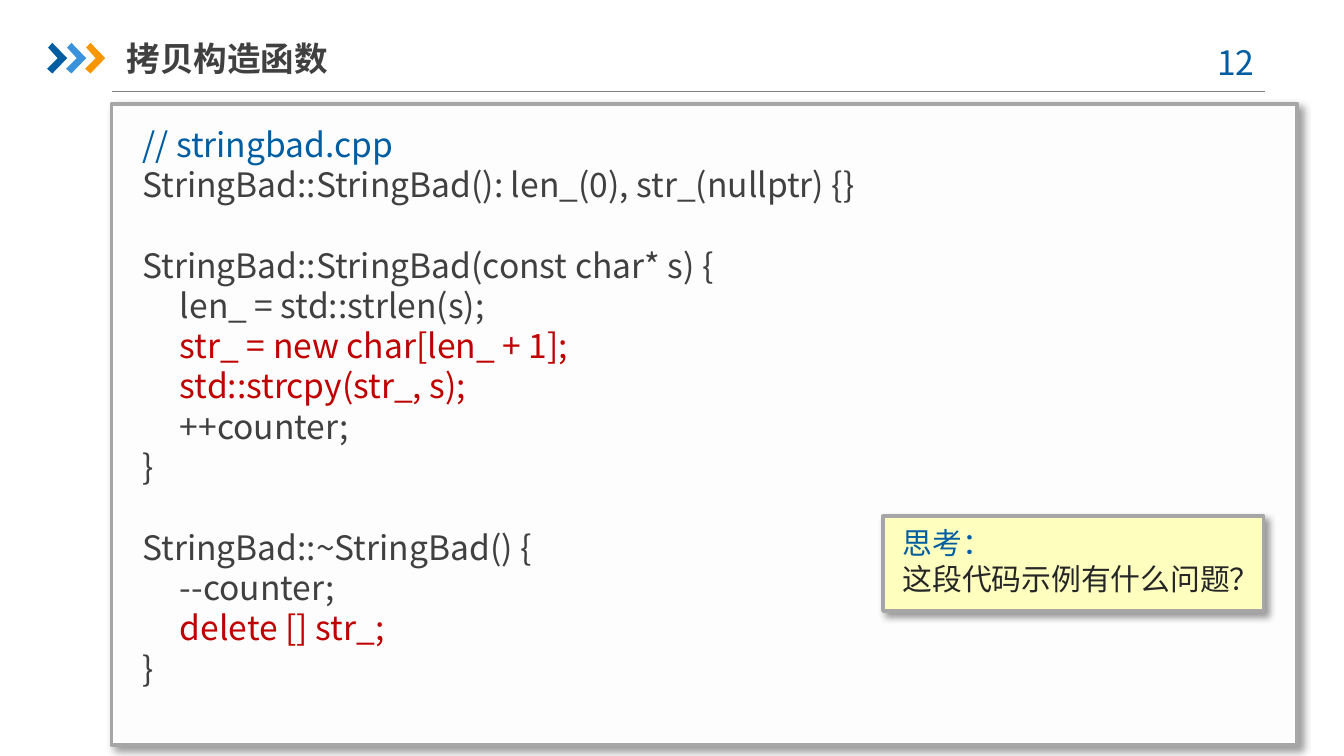
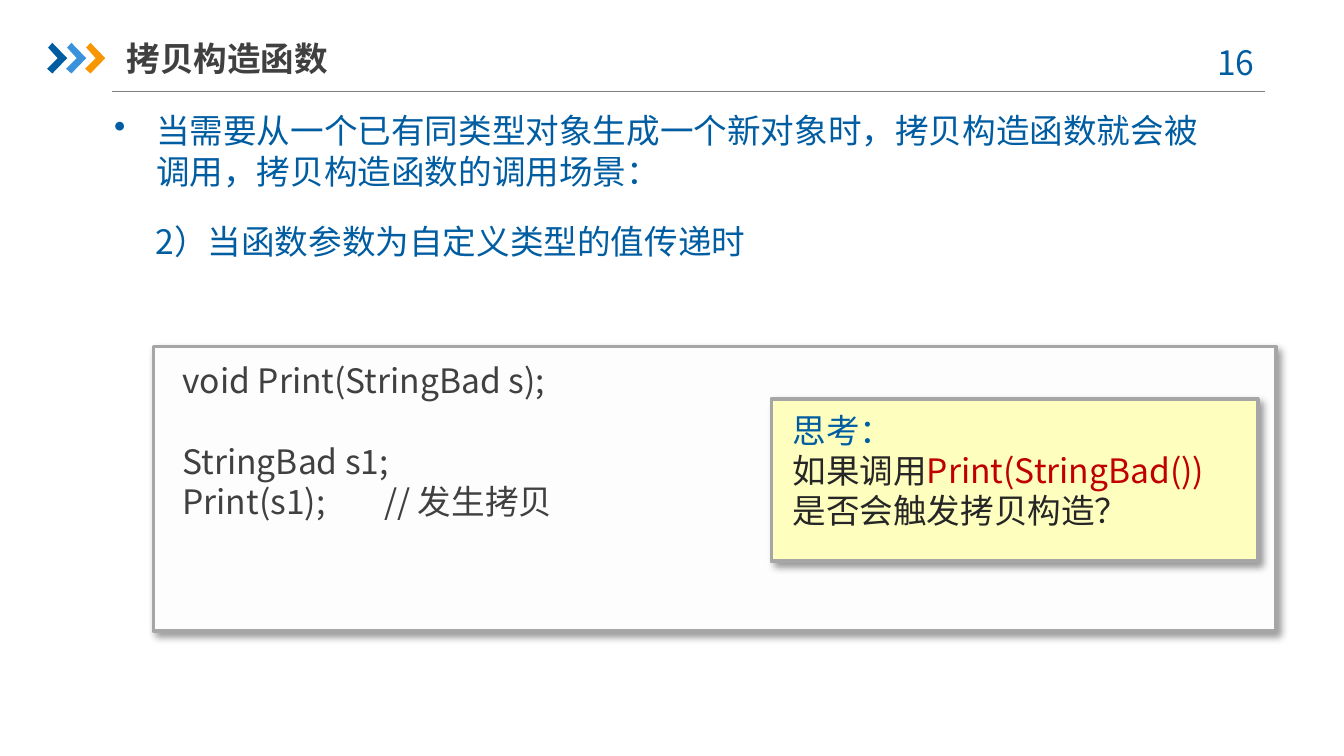
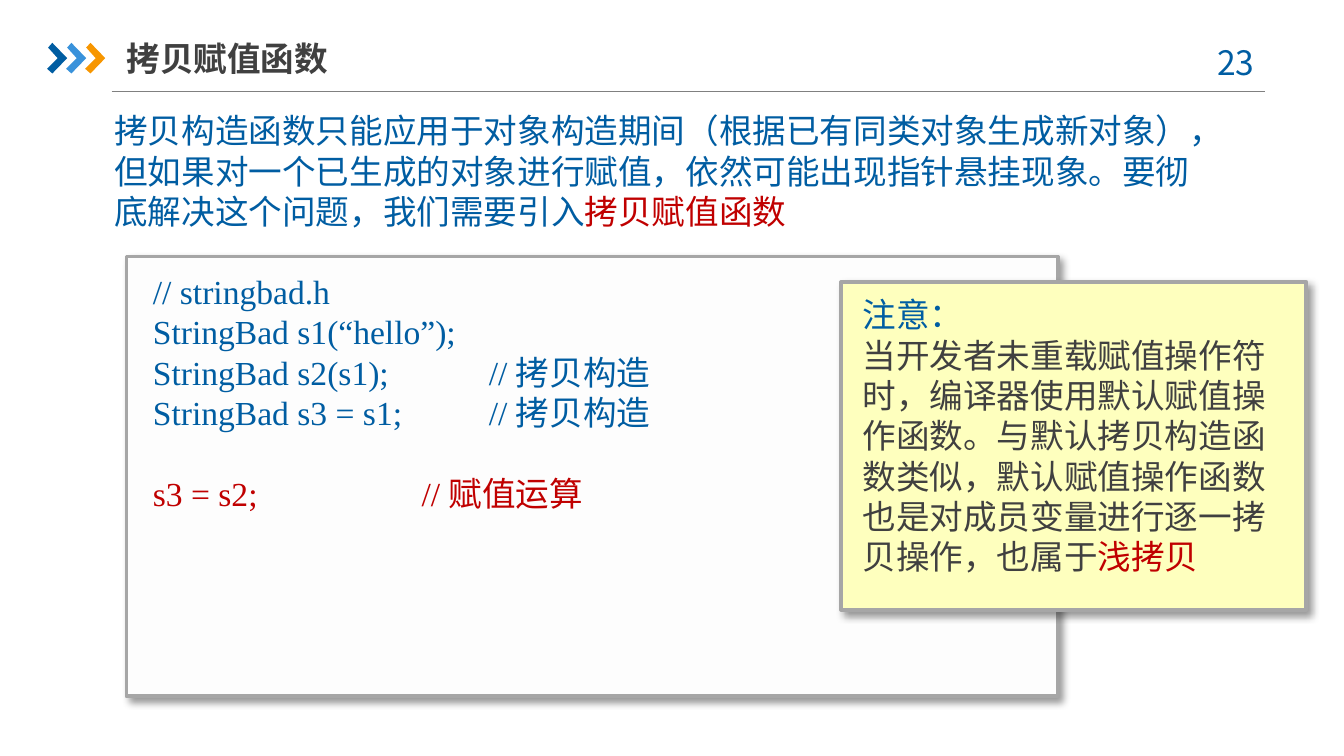
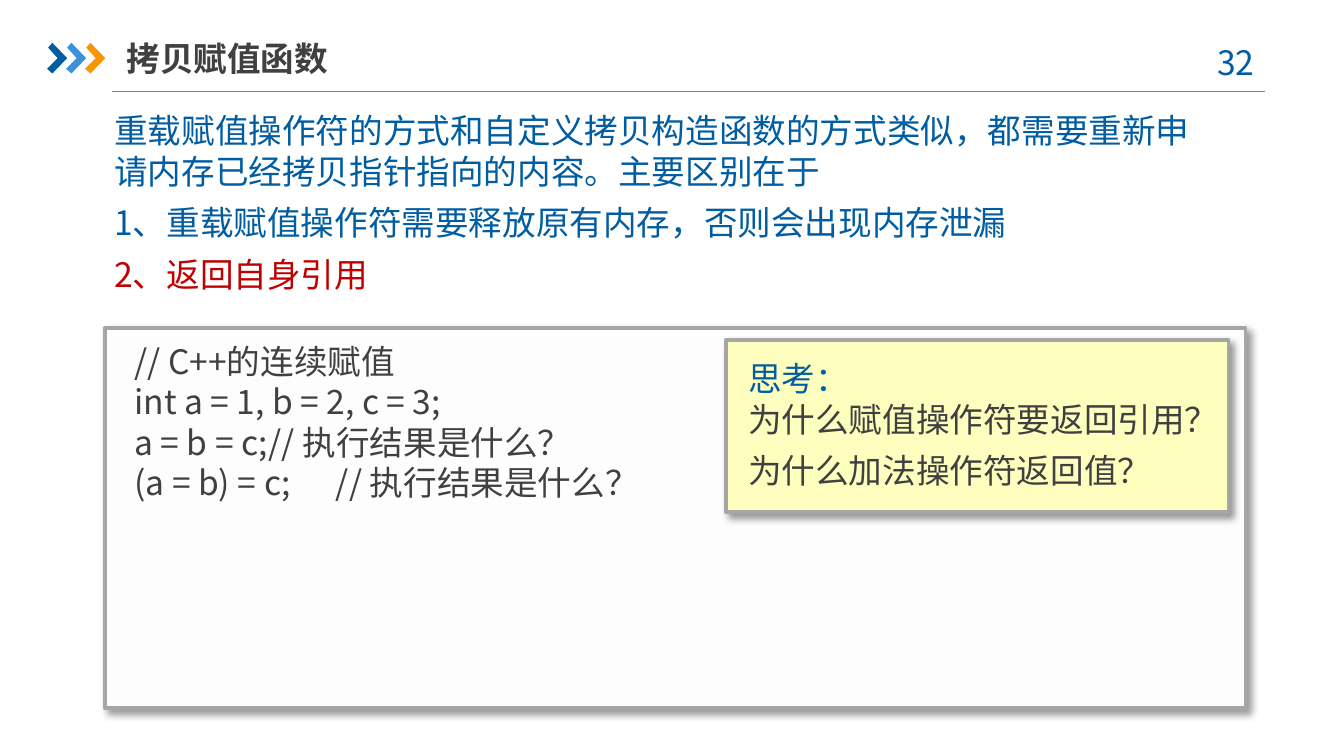
from dataclasses import dataclass

from lxml import etree
from pptx import Presentation
from pptx.dml.color import RGBColor
from pptx.enum.lang import MSO_LANGUAGE_ID
from pptx.enum.shapes import MSO_CONNECTOR, MSO_SHAPE
from pptx.enum.text import MSO_ANCHOR, MSO_AUTO_SIZE, PP_ALIGN
from pptx.oxml import parse_xml
from pptx.oxml.ns import nsdecls, qn
from pptx.util import Cm, Pt

RECTANGLE = MSO_SHAPE.RECTANGLE
STRAIGHT = MSO_CONNECTOR.STRAIGHT
LEFT, CENTER = PP_ALIGN.LEFT, PP_ALIGN.CENTER
TOP, MIDDLE = MSO_ANCHOR.TOP, MSO_ANCHOR.MIDDLE
GROW, FIXED = MSO_AUTO_SIZE.SHAPE_TO_FIT_TEXT, MSO_AUTO_SIZE.NONE
CHINESE = MSO_LANGUAGE_ID.SIMPLIFIED_CHINESE
TITLE_ONLY = 5


@dataclass(frozen=True)
class Theme:
    blue: str = "005DA2"
    sky: str = "3992DB"
    orange: str = "F79600"
    red: str = "C00000"
    dark: str = "404040"
    ink: str = "262626"
    rule: str = "808080"
    border: str = "A6A6A6"
    code_fill: str = "FDFDFD"
    note_fill: str = "FEFFBE"
    font: str = "Noto Sans CJK SC"
    serif: str = "Times New Roman"
    size: int = 18
    small: int = 16
    leading: float = 1.2
    after: int = 6


THEME = Theme()
CHEVRON = [(0.02, 0.09), (0.1, 0), (0.38, 0.29), (0.1, 0.58), (0, 0.49), (0.2, 0.29)]
CHEVRON_LEFT, CHEVRON_TOP, CHEVRON_STEP = 0.89, 0.81, 0.36


def rgb(colour):
    return RGBColor.from_string(colour)


def lengths(frame):
    return [Cm(value) for value in frame]


def set_values(target, values):
    for name, value in values.items():
        setattr(target, name, value)


def add_span(para, text, colour, size, font, bold):
    span = para.add_run()
    span.text = text.rstrip("\n")
    set_values(span.font, {
        "size": Pt(size), "bold": bold, "name": font, "language_id": CHINESE,
    })
    span.font.color.rgb = rgb(colour)
    east_asian = etree.SubElement(span._r.get_or_add_rPr(), qn("a:ea"))
    east_asian.set("typeface", THEME.font)
    if text.endswith("\n"):
        para.add_line_break()


def add_bullet(para):
    properties = para._p.get_or_add_pPr()
    properties.set("marL", str(Cm(0.79)))
    properties.set("indent", str(-Cm(0.79)))
    etree.SubElement(properties, qn("a:buChar")).set("char", "•")


def write(box, paragraphs, size=THEME.size, font=THEME.font, bold=False,
          after=0, align=LEFT, anchor=TOP, fit=GROW, bullet=False):
    frame = box.text_frame
    set_values(frame, {"word_wrap": True, "auto_size": fit, "vertical_anchor": anchor})
    leading = Pt(size * THEME.leading)
    para, gap = None, 0
    for spans in paragraphs:
        if not spans:
            gap += leading
            continue
        para = frame.add_paragraph() if para else frame.paragraphs[0]
        if bullet:
            add_bullet(para)
        set_values(para, {
            "alignment": align, "line_spacing": leading,
            "space_before": gap, "space_after": Pt(after),
        })
        for text, colour in spans:
            add_span(para, text, colour, size, font, bold)
        gap = 0


def code(colour, *lines):
    return [[(line, colour)] if line else [] for line in lines]


def add_text(slide, frame, paragraphs, **style):
    box = slide.shapes.add_textbox(*lengths(frame))
    write(box, paragraphs, **style)


def add_shadow(shape):
    shape._element.spPr.append(parse_xml(
        f'<a:effectLst {nsdecls("a")}><a:outerShdw blurRad="{Pt(4)}" dist="{Pt(3)}" '
        'dir="2700000" algn="tl" rotWithShape="0"><a:srgbClr val="000000">'
        '<a:alpha val="40000"/></a:srgbClr></a:outerShdw></a:effectLst>'))


def add_rectangle(group, frame, fill):
    shape = group.shapes.add_shape(RECTANGLE, *lengths(frame))
    shape.fill.solid()
    shape.fill.fore_color.rgb = rgb(fill)
    return shape


def add_panel(slide, frame, text_frame, fill, paragraphs, **style):
    group = slide.shapes.add_group_shape()
    card = add_rectangle(group, frame, fill)
    card.line.color.rgb = rgb(THEME.border)
    card.line.width = Pt(2)
    add_shadow(card)
    body = add_rectangle(group, text_frame, fill)
    body.line.fill.background()
    body.shadow.inherit = False
    write(body, paragraphs, **style)


def add_code(slide, frame, text_frame, paragraphs, **style):
    add_panel(slide, frame, text_frame, THEME.code_fill, paragraphs, **style)


def add_note(slide, frame, text_frame, paragraphs, **style):
    add_panel(slide, frame, text_frame, THEME.note_fill, paragraphs,
              after=THEME.after, **style)


def add_rule(slide):
    rule = slide.shapes.add_connector(STRAIGHT, *lengths((2.11, 1.73, 23.9, 1.73)))
    rule.line.color.rgb = rgb(THEME.rule)
    rule.line.width = Pt(0.75)
    etree.SubElement(rule._element.spPr, qn("a:effectLst"))
    return rule


def add_chevrons(slide):
    group = slide.shapes.add_group_shape()
    for index, colour in enumerate((THEME.blue, THEME.sky, THEME.orange)):
        left = CHEVRON_LEFT + index * CHEVRON_STEP
        points = [(Cm(left + x), Cm(CHEVRON_TOP + y)) for x, y in CHEVRON]
        builder = group.shapes.build_freeform(*points[0])
        builder.add_line_segments(points[1:], close=True)
        chevron = builder.convert_to_shape()
        chevron.fill.solid()
        chevron.fill.fore_color.rgb = rgb(colour)
        chevron.line.fill.background()
        chevron.shadow.inherit = False
    return group


def prepare_layout(layout, slide):
    tree = layout.shapes.element
    for placeholder in list(layout.placeholders)[1:]:
        tree.remove(placeholder.element)
    for shape in (add_rule(slide), add_chevrons(slide)):
        tree.append(shape.element)


def add_page(deck, title, number):
    layout = deck.slide_layouts[TITLE_ONLY]
    page = deck.slides.add_slide(layout)
    if len(deck.slides) == 1:
        prepare_layout(layout, page)
    heading = page.shapes.title
    left, top, width, height = lengths((2.39, 0.56, 5.92, 1.07))
    set_values(heading, {"left": left, "top": top, "width": width, "height": height})
    set_values(heading.text_frame, {"margin_left": 0, "margin_right": 0})
    write(heading, [[(title, THEME.dark)]], bold=True, anchor=MIDDLE, fit=FIXED)
    add_text(page, (22.5, 0.66, 1.85, 1.02), [[(f"{number} ", THEME.blue)]], align=CENTER)
    return page


def build_class_code(deck):
    page = add_page(deck, "拷贝构造函数", 12)
    source = [
        *code(THEME.blue, "// stringbad.cpp"),
        *code(THEME.dark,
              "StringBad::StringBad(): len_(0), str_(nullptr) {}",
              "",
              "StringBad::StringBad(const char* s) {",
              "     len_ = std::strlen(s);"),
        *code(THEME.red,
              "     str_ = new char[len_ + 1];",
              "     std::strcpy(str_, s);"),
        *code(THEME.dark,
              "     ++counter;",
              "}",
              "",
              "StringBad::~StringBad() {",
              "     --counter;"),
        *code(THEME.red, "     delete [] str_;"),
        *code(THEME.dark, "}"),
    ]
    add_code(page, (2.11, 1.96, 22.4, 12.12), (2.44, 2.21, 21.74, 11.02), source)
    add_note(page, (16.69, 9.75, 7.19, 1.8), (16.81, 9.8, 6.99, 1.47),
             [[("思考：\n", THEME.blue), ("这段代码示例有什么问题？", THEME.ink)]],
             size=THEME.small)


def build_pass_by_value(deck):
    page = add_page(deck, "拷贝构造函数", 16)
    add_text(page, (1.91, 1.96, 21.41, 1.8),
             code(THEME.blue, "当需要从一个已有同类型对象生成一个新对象时，拷贝构造函数就会被调用，"
                              "拷贝构造函数的调用场景："),
             after=THEME.after, bullet=True)
    add_text(page, (2.69, 4.06, 21.41, 1.02),
             code(THEME.blue, "2）当函数参数为自定义类型的值传递时"), after=THEME.after)
    add_code(page, (2.9, 6.55, 21.21, 5.38), (3.2, 6.68, 20.57, 3.33),
             code(THEME.dark, "void Print(StringBad s);", "", "StringBad s1;",
                  "Print(s1);\t// 发生拷贝"))
    add_note(page, (14.58, 7.54, 9.19, 3.07), (14.73, 7.62, 8.89, 2.9),
             [[("思考：\n", THEME.blue), ("如果调用", THEME.ink),
               ("Print(StringBad())", THEME.red), ("是否会触发拷贝构造？", THEME.ink)]])


def build_assignment(deck):
    page = add_page(deck, "拷贝赋值函数", 23)
    add_text(page, (1.91, 1.96, 21.41, 2.57),
             [[("拷贝构造函数只能应用于对象构造期间（根据已有同类对象生成新对象），"
                "但如果对一个已生成的对象进行赋值，依然可能出现指针悬挂现象。"
                "要彻底解决这个问题，我们需要引入", THEME.blue),
               ("拷贝赋值函数", THEME.red)]], after=THEME.after)
    source = [
        *code(THEME.blue,
              "// stringbad.h",
              "StringBad s1(“hello”);",
              "StringBad s2(s1);\t\t// 拷贝构造",
              "StringBad s3 = s1;\t\t// 拷贝构造",
              ""),
        *code(THEME.red, "s3 = s2;\t\t\t// 赋值运算"),
    ]
    add_code(page, (2.39, 4.85, 17.6, 8.31), (2.64, 5, 17.07, 4.88), source,
             font=THEME.serif)
    add_note(page, (15.9, 5.33, 8.79, 6.2), (16.05, 5.44, 8.51, 6.02),
             [[("注意：\n", THEME.blue),
               ("当开发者未重载赋值操作符时，编译器使用默认赋值操作函数。"
                "与默认拷贝构造函数类似，默认赋值操作函数也是对成员变量进行逐一拷贝操作，"
                "也属于", THEME.dark),
               ("浅拷贝", THEME.red)]])


def build_return_reference(deck):
    page = add_page(deck, "拷贝赋值函数", 32)
    add_code(page, (1.98, 6.2, 21.56, 7.19), (2.29, 6.32, 20.93, 3.33),
             code(THEME.dark, "// C++的连续赋值", "int a = 1, b = 2, c = 3;",
                  "a = b = c;\t// 执行结果是什么？", "(a = b) = c;\t// 执行结果是什么？"))
    add_text(page, (1.91, 1.96, 21.41, 3.76), [
        *code(THEME.blue,
              "重载赋值操作符的方式和自定义拷贝构造函数的方式类似，"
              "都需要重新申请内存已经拷贝指针指向的内容。主要区别在于",
              "1、重载赋值操作符需要释放原有内存，否则会出现内存泄漏"),
        *code(THEME.red, "2、返回自身引用"),
    ], after=THEME.after)
    add_note(page, (13.72, 6.43, 9.5, 3.25), (13.89, 6.65, 9.17, 2.77), [
        [("思考：\n", THEME.blue), ("为什么赋值操作符要返回引用？", THEME.dark)],
        [("为什么加法操作符返回值？", THEME.dark)],
    ])


def main():
    deck = Presentation()
    deck.slide_width, deck.slide_height = Cm(25.4), Cm(14.29)
    build_class_code(deck)
    build_pass_by_value(deck)
    build_assignment(deck)
    build_return_reference(deck)
    deck.save("out.pptx")


if __name__ == "__main__":
    main()
